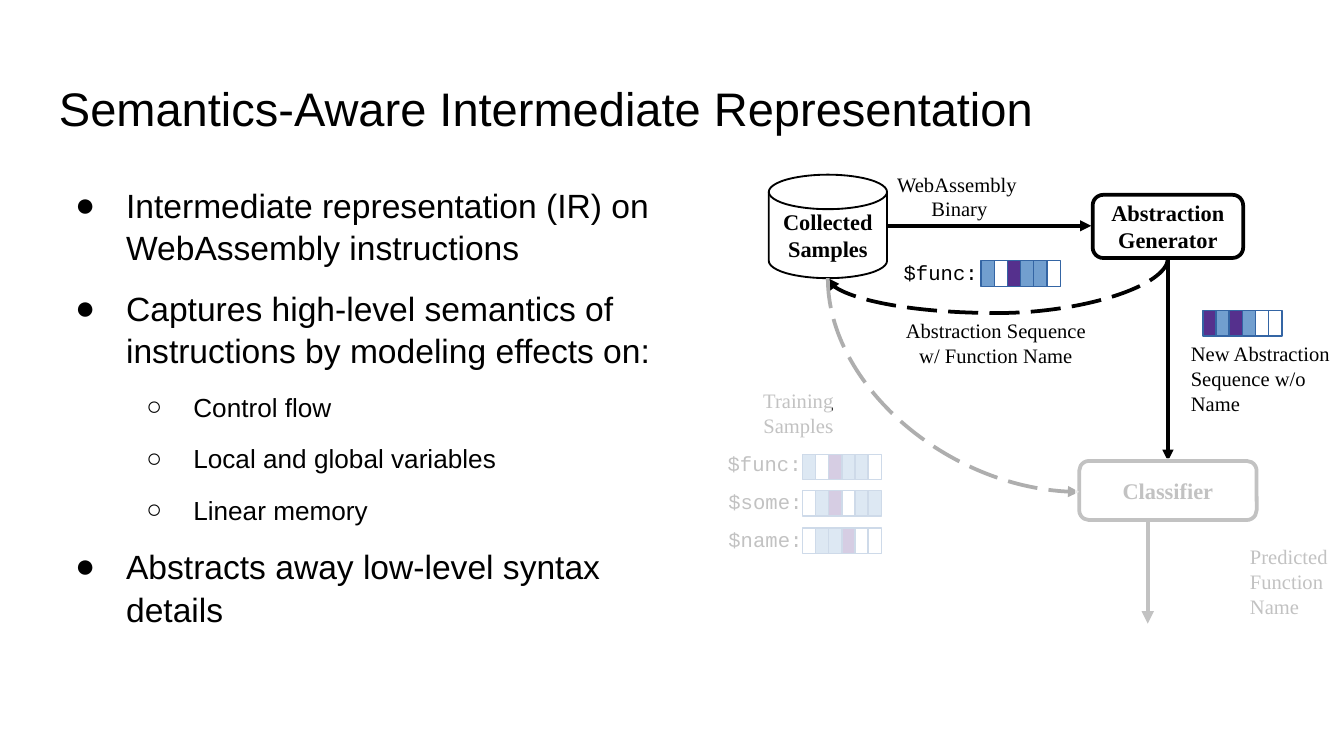
"""Build the slide on a semantics-aware intermediate representation."""
import pptx
import pptx.dml.color
import pptx.enum.dml
import pptx.enum.shapes
import pptx.enum.text
import pptx.oxml
import pptx.oxml.ns
import pptx.util
from lxml import etree

Inches = pptx.util.Inches
Pt = pptx.util.Pt
RGB = pptx.dml.color.RGBColor.from_string
qn = pptx.oxml.ns.qn
Kind = pptx.enum.shapes.MSO_SHAPE
Link = pptx.enum.shapes.MSO_CONNECTOR
Anchor = pptx.enum.text.MSO_ANCHOR
Align = pptx.enum.text.PP_ALIGN

HUES = {"ink": "000000", "gray": "AEAEAE", "white": "FFFFFF",
        "blue": "729FCF", "plum": "55308D", "edge": "3465A4"}
CELLS = {"b": "blue", "w": "white", "p": "plum"}
SERIF, MONO, SANS = "Times New Roman", "Courier New", "Arial"

deck = pptx.Presentation()
deck.slide_width, deck.slide_height = Inches(10), Inches(10 * 9 / 16)
slide = deck.slides.add_slide(deck.slide_layouts[6])
shapes = slide.shapes


def write(shape, text, size=11, font=SERIF, bold=False, align=Align.LEFT,
          anchor=Anchor.MIDDLE, pad=(0.07, 0.04), left=0, hang=0,
          mark=None, before=0, after=0, space=1.0):
    frame = shape.text_frame
    frame.word_wrap = True
    frame.vertical_anchor = anchor
    frame.margin_left = frame.margin_right = Inches(pad[0])
    frame.margin_top = frame.margin_bottom = Inches(pad[1])
    for line in text.split("\n"):
        para = frame.add_paragraph() if frame.text else frame.paragraphs[0]
        props = para._p.get_or_add_pPr()
        props.set("marL", str(Inches(left)))
        props.set("indent", str(Inches(hang)))
        if mark:
            tint = etree.SubElement(props, qn("a:buClr"))
            etree.SubElement(tint, qn("a:srgbClr"), val=HUES["ink"])
            etree.SubElement(props, qn("a:buFont"), typeface=SANS)
            etree.SubElement(props, qn("a:buChar"), char=mark)
        para.alignment = align
        para.line_spacing = space
        para.space_before, para.space_after = Pt(before), Pt(after)
        run = para.add_run()
        run.text = line
        run.font.size, run.font.name, run.font.bold = Pt(size), font, bold
        run.font.color.rgb = RGB(HUES["ink"])


def join(kind, ends, hue="ink", width=2):
    link = shapes.add_connector(kind, *map(Inches, ends))
    link.line.color.rgb = RGB(HUES[hue])
    link.line.width = Pt(width)
    if kind == Link.CURVE:
        link.line.dash_style = pptx.enum.dml.MSO_LINE.LONG_DASH
    props = link._element.spPr
    etree.SubElement(props.find(qn("a:ln")), qn("a:tailEnd"), type="triangle")
    etree.SubElement(props, qn("a:effectLst"))
    return props


title = shapes.add_textbox(*map(Inches, (0.34, 0.49, 9.32, 0.63)))
write(title, "Semantics-Aware Intermediate Representation", size=25.2,
      font=SANS, pad=(0.1, 0.1), anchor=Anchor.TOP)

body = shapes.add_textbox(*map(Inches, (0.34, 1.26, 4.66, 3.74)))
points = [
    (0, "Intermediate representation (IR) on WebAssembly instructions"),
    (0, "Captures high-level semantics of instructions by modeling effects on:"),
    (1, "Control flow"),
    (1, "Local and global variables"),
    (1, "Linear memory"),
    (0, "Abstracts away low-level syntax details"),
]
last = len(points) - 1
for rank, (level, words) in enumerate(points):
    write(body, words, size=(18, 14)[level], font=SANS, pad=(0.1, 0.1),
          anchor=Anchor.TOP, left=(0.5, 1)[level],
          hang=(-0.38, -0.35)[level], mark="●○"[level], space=1.05,
          before=10 if rank else 0, after=10 if rank == last else 0)

nodes = [
    (Kind.ROUNDED_RECTANGLE, (8.13, 1.45, 1.12, 0.47), 2, "Abstraction\nGenerator"),
    (Kind.ROUNDED_RECTANGLE, (8.03, 3.43, 1.32, 0.44), 2, "Classifier"),
    (Kind.FLOWCHART_MAGNETIC_DISK, (5.72, 1.3, 0.88, 0.77), 1, "Collected\nSamples"),
]
for kind, place, width, words in nodes:
    node = shapes.add_shape(kind, *map(Inches, place))
    node.shadow.inherit = False
    if kind == Kind.FLOWCHART_MAGNETIC_DISK:
        node.fill.solid()
        node.fill.fore_color.rgb = RGB(HUES["white"])
    else:
        node.fill.background()
    node.line.color.rgb = RGB(HUES["ink"])
    node.line.width = Pt(width)
    write(node, words, size=12, bold=True, align=Align.CENTER)

mid = {"align": Align.CENTER, "left": 0.38}
code = {"font": MONO}
top = {"anchor": Anchor.TOP}
labels = [
    ((5.88, 1.26, 2.1, 0.4), "WebAssembly\n Binary", mid),
    ((6.28, 2.35, 1.88, 0.4), "Abstraction Sequence w/ Function Name", mid),
    ((5.06, 2.87, 1.38, 0.4), "Training\nSamples", mid),
    ((8.85, 3.94, 1.12, 0.77), "Predicted\nFunction\nName", {"left": 0.38}),
    ((8.79, 2.5, 1.21, 0.72), "New Abstraction\nSequence w/o Name", top),
    ((6.03, 1.83, 1.56, 0.4), "$func:", mid | code),
    ((4.72, 3.25, 1.56, 0.4), "$func:", mid | code),
    ((5.35, 3.6, 0.77, 0.24), "$some:", top | code),
    ((5.35, 3.88, 0.77, 0.24), "$name:", top | code),
]
for place, words, style in labels:
    write(shapes.add_textbox(*map(Inches, place)), words, **style)

join(Link.STRAIGHT, (6.6, 1.68, 8.12, 1.68))
join(Link.STRAIGHT, (8.69, 1.92, 8.69, 3.43))
join(Link.STRAIGHT, (8.54, 3.88, 8.54, 4.64), width=2.25)

back = join(Link.CURVE, (7.35, 0.73, 7.5, 3.26))
back.find(qn("a:xfrm")).set("rot", str(90 * 60000))
guides = back.find(qn("a:prstGeom")).get_or_add_avLst()
etree.SubElement(guides, qn("a:gd"), name="adj1", fmla="val 272800")

feed = join(Link.CURVE, (6.3, 1.93, 7.89, 3.8), hue="gray")
feed.find(qn("a:xfrm")).set("rot", str(270 * 60000))
feed.find(qn("a:xfrm")).set("flipH", "1")
feed.find(qn("a:prstGeom")).set("prst", "curvedConnector2")

strips = [(7.3, 1.94, "bwpbbw"), (8.95, 2.31, "pbpbww"),
          (5.97, 3.38, "bwpbbw"), (5.97, 3.65, "wbpwbb"),
          (5.97, 3.93, "wbbpww")]
for left, high, codes in strips:
    for step, key in enumerate(codes):
        cell = shapes.add_shape(Kind.RECTANGLE, Inches(left + step * 0.49 / 5),
                                Inches(high), Inches(0.1), Inches(0.19))
        cell.shadow.inherit = False
        cell.fill.solid()
        cell.fill.fore_color.rgb = RGB(HUES[CELLS[key]])
        cell.line.color.rgb = RGB(HUES["edge"])
        cell.line.width = Pt(0.75)

veils = [(5.36, 3.32, 1.4, 2.04), (5.49, 2.46, 0.7, 0.86), (8, 3.41, 1.93, 2.04)]
for place in veils:
    veil = shapes.add_shape(Kind.RECTANGLE, *map(Inches, place))
    veil.shadow.inherit = False
    veil.fill.solid()
    veil.fill.fore_color.rgb = RGB(HUES["white"])
    veil.line.fill.background()
    tint = veil._element.spPr.find(qn("a:solidFill")).find(qn("a:srgbClr"))
    etree.SubElement(tint, qn("a:alpha"), val="76000")

deck.save("out.pptx")
